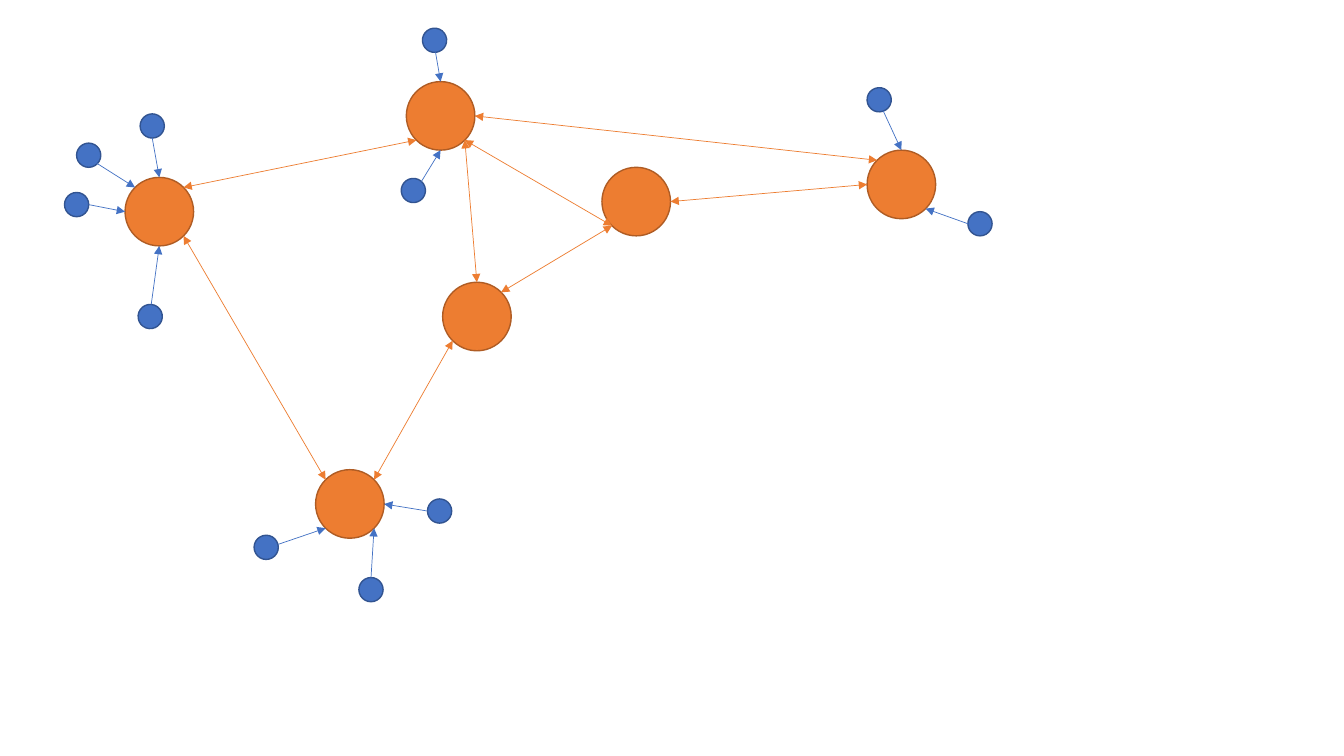
from dataclasses import dataclass
from math import cos, radians, sin

from pptx import Presentation
from pptx.dml.color import RGBColor
from pptx.enum.shapes import MSO_CONNECTOR, MSO_SHAPE
from pptx.oxml.ns import qn
from pptx.util import Emu, Pt
from lxml import etree

ELLIPSE = MSO_SHAPE.OVAL
STRAIGHT = MSO_CONNECTOR.STRAIGHT
EMU_PER_PX = 9144  # 100 px to the inch
SLIDE_SIZE = (1333, 750)
BLANK_LAYOUT = 6

# Connection sites of an ellipse, counter-clockwise from the top
TOP, TOP_LEFT, LEFT, BOTTOM_LEFT, BOTTOM, BOTTOM_RIGHT, RIGHT, TOP_RIGHT = range(8)


@dataclass(frozen=True)
class NodeStyle:
    fill: str
    outline: str
    diameter: int


@dataclass(frozen=True)
class Theme:
    hub: NodeStyle = NodeStyle("ED7D31", "AF5C24", 68)
    client: NodeStyle = NodeStyle("4472C4", "325491", 24)
    outline_width: float = 1
    link_width: float = 0.5


@dataclass
class Node:
    shape: object
    x: int
    y: int
    style: NodeStyle
    rotation: float

    def site(self, index):
        """Return the px position of a connection site, rotation included."""
        angle = radians(self.rotation - 90 - 45 * index)
        radius = self.style.diameter / 2
        return round(self.x + radius * cos(angle)), round(self.y + radius * sin(angle))


# name: centre x, centre y
HUBS = {
    "west": (158, 210),
    "east": (894, 183),
    "middle": (473, 314),
    "inner": (631, 200),
    "south": (347, 500),
    "north": (437, 115),
}

HUB_LINKS = [
    ("north", BOTTOM_LEFT, "west", TOP_RIGHT),
    ("north", BOTTOM_RIGHT, "middle", TOP),
    ("middle", BOTTOM_LEFT, "south", TOP_RIGHT),
    ("middle", TOP_RIGHT, "inner", BOTTOM_LEFT),
    ("north", BOTTOM_RIGHT, "inner", BOTTOM_LEFT),
    ("inner", RIGHT, "east", LEFT),
    ("west", BOTTOM_RIGHT, "south", TOP_LEFT),
    ("north", RIGHT, "east", TOP_LEFT),
]

# centre x, centre y, rotation, own site, hub, hub site
CLIENTS = [
    (151, 125, 0, BOTTOM, "west", TOP),
    (88, 154, 0, BOTTOM_RIGHT, "west", TOP_LEFT),
    (76, 203, 0, RIGHT, "west", LEFT),
    (149, 314, 321, TOP_RIGHT, "west", BOTTOM),
    (431, 40, 38.2, BOTTOM_RIGHT, "north", TOP),
    (410, 189, 39.3, TOP, "north", BOTTOM),
    (368, 585, 0, TOP, "south", BOTTOM_RIGHT),
    (436, 507, 0, LEFT, "south", RIGHT),
    (264, 543, 30.5, TOP_RIGHT, "south", BOTTOM_LEFT),
    (872, 99, 26.2, BOTTOM_RIGHT, "east", TOP),
    (972, 222, 0, LEFT, "east", BOTTOM_RIGHT),
]


def px(length):
    return Emu(length * EMU_PER_PX)


class NetworkSlide:
    def __init__(self, slide, theme):
        self.slide = slide
        self.theme = theme

    def node(self, x, y, style, rotation=0):
        radius = style.diameter // 2
        shape = self.slide.shapes.add_shape(
            ELLIPSE, px(x - radius), px(y - radius), px(style.diameter), px(style.diameter)
        )
        shape.rotation = rotation
        shape.shadow.inherit = False
        shape.fill.solid()
        shape.fill.fore_color.rgb = RGBColor.from_string(style.fill)
        shape.line.color.rgb = RGBColor.from_string(style.outline)
        shape.line.width = Pt(self.theme.outline_width)
        return Node(shape, x, y, style, rotation)

    def link(self, start, start_site, end, end_site, both_ways=False):
        """Join two nodes with an arrow in the colour of the start node."""
        points = start.site(start_site) + end.site(end_site)
        connector = self.slide.shapes.add_connector(STRAIGHT, *map(px, points))
        connector.line.color.rgb = RGBColor.from_string(start.style.fill)
        connector.line.width = Pt(self.theme.link_width)

        # begin_connect knows only four sites, an ellipse has eight
        joints = connector.element.find(".//" + qn("p:cNvCxnSpPr"))
        for tag, node, site in (("a:stCxn", start, start_site), ("a:endCxn", end, end_site)):
            etree.SubElement(joints, qn(tag), id=str(node.shape.shape_id), idx=str(site))

        properties = connector.element.spPr
        outline = properties.find(qn("a:ln"))
        for tag in ("a:headEnd", "a:tailEnd") if both_ways else ("a:tailEnd",):
            etree.SubElement(outline, qn(tag), type="triangle")
        etree.SubElement(properties, qn("a:effectLst"))


def main():
    deck = Presentation()
    deck.slide_width, deck.slide_height = map(px, SLIDE_SIZE)
    theme = Theme()
    page = NetworkSlide(deck.slides.add_slide(deck.slide_layouts[BLANK_LAYOUT]), theme)

    hubs = {name: page.node(x, y, theme.hub) for name, (x, y) in HUBS.items()}
    for start, start_site, end, end_site in HUB_LINKS:
        page.link(hubs[start], start_site, hubs[end], end_site, both_ways=True)

    for x, y, rotation, own_site, hub, hub_site in CLIENTS:
        client = page.node(x, y, theme.client, rotation)
        page.link(client, own_site, hubs[hub], hub_site)

    deck.save("out.pptx")


if __name__ == "__main__":
    main()
